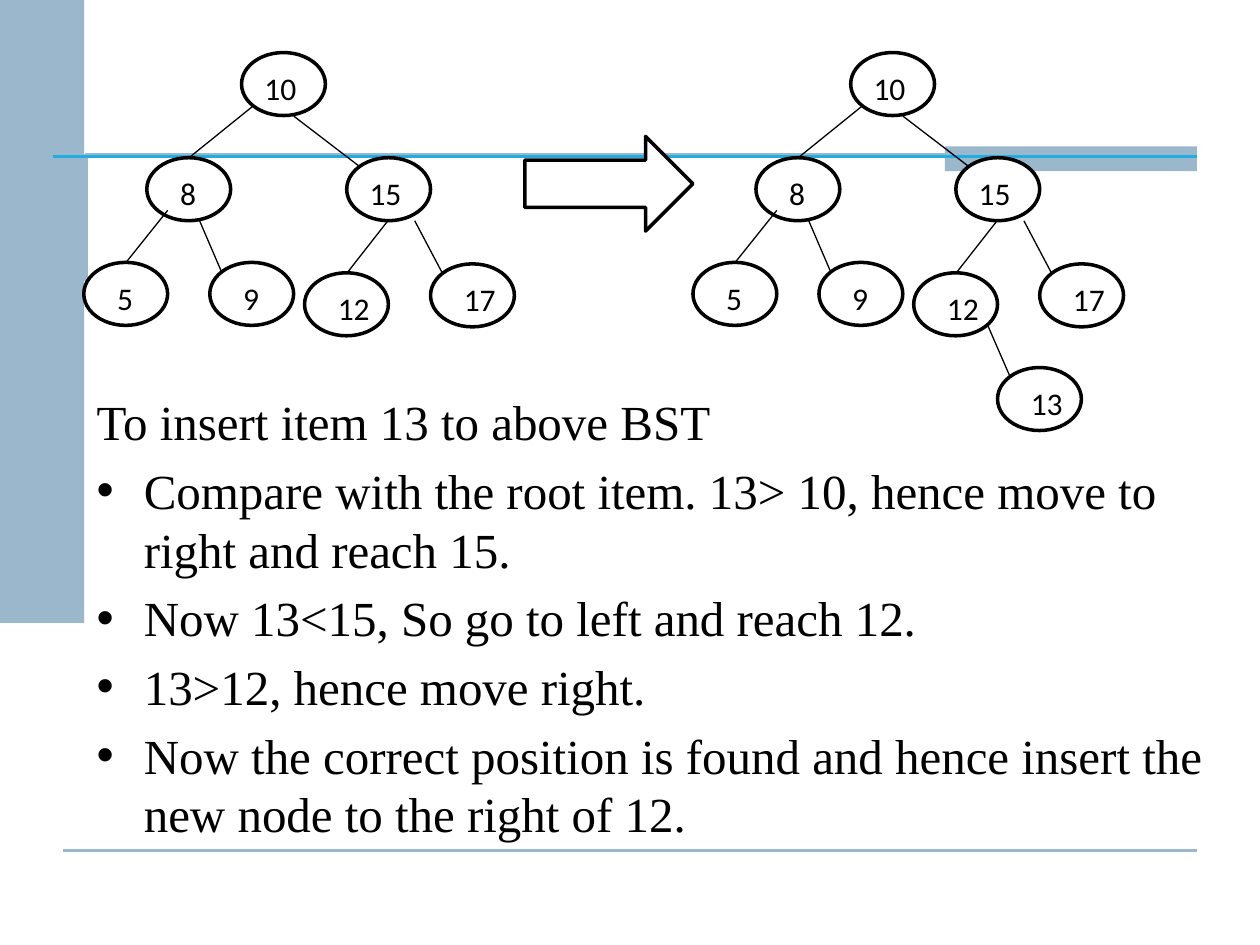
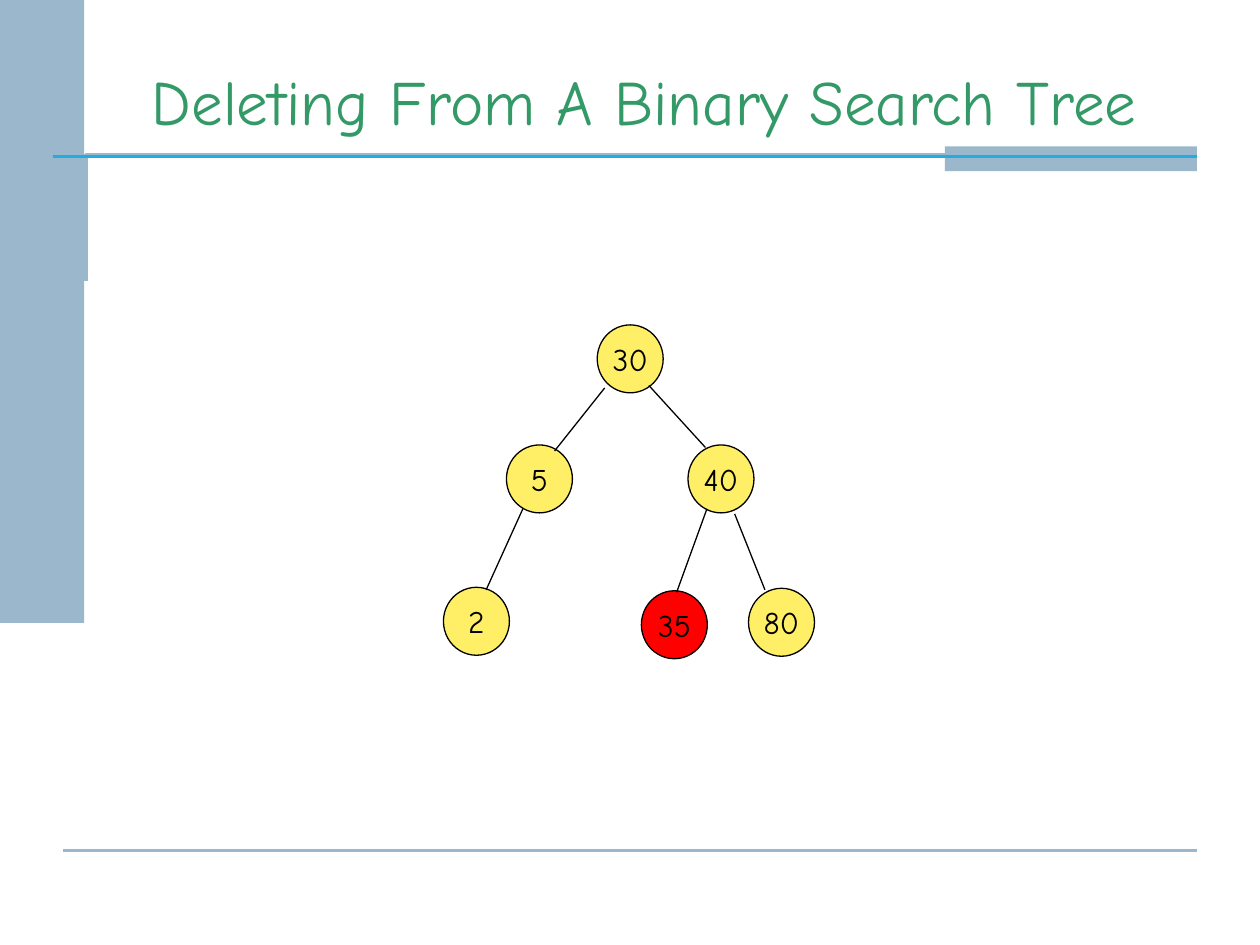
from lxml import etree
from pptx import Presentation
from pptx.dml.color import RGBColor
from pptx.enum.shapes import MSO_CONNECTOR, MSO_SHAPE
from pptx.enum.text import MSO_ANCHOR, MSO_AUTO_SIZE, PP_ALIGN
from pptx.oxml.ns import qn
from pptx.util import Cm, Pt

STRAIGHT = MSO_CONNECTOR.STRAIGHT
RECTANGLE, OVAL, RIGHT_ARROW = MSO_SHAPE.RECTANGLE, MSO_SHAPE.OVAL, MSO_SHAPE.RIGHT_ARROW
TOP, MIDDLE, BOTTOM = MSO_ANCHOR.TOP, MSO_ANCHOR.MIDDLE, MSO_ANCHOR.BOTTOM
LEFT, CENTER = PP_ALIGN.LEFT, PP_ALIGN.CENTER
NO_FIT = MSO_AUTO_SIZE.NONE

BLACK, WHITE = "000000", "FFFFFF"
BAND, RULE, TITLE_GREEN = "9AB7CC", "20AEE0", "339966"
YELLOW, RED = "FFEF66", "FF0000"
SERIF, SANS, COMIC = "Times New Roman", "Calibri", "Comic Neue"

BANDS = [(0, 0, 1.7, 12.56), (19.05, 2.95, 5.08, 0.5)]
RULES = [((1.27, 17.15), (24.13, 17.15), BAND), ((1.06, 3.15), (24.13, 3.15), RULE)]
CORNER = [(1.73, 5.66), (1.73, 3.12), (23.75, 3.12)]

INSERT_HEADING = "To insert item 13 to above BST"
INSERT_STEPS = [
    "Compare with the root item. 13> 10, hence move to right and reach 15.",
    "Now 13<15, So go to left and reach 12.",
    "13>12, hence move right.",
    "Now the correct position is found and hence insert the new node to the right of 12.",
]
INSERT_NODE_SIZE = (1.69, 1.27)
INSERT_NODES = [
    ("10", 4.87, 1.06, 0.21), ("8", 2.96, 3.18, 0.42), ("15", 6.99, 3.18, 0.21),
    ("5", 1.69, 5.29, 0.42), ("9", 4.23, 5.29, 0.42),
    ("12", 6.14, 5.5, 0.42), ("17", 8.68, 5.32, 0.42),
]
INSERT_EDGES = [
    ((5.11, 2.13), (3.81, 3.18)), ((5.92, 2.34), (7.24, 3.35)),
    ((3.38, 4.24), (2.54, 5.29)), ((4.01, 4.42), (4.47, 5.49)),
    ((7.82, 4.45), (6.99, 5.51)), ((8.36, 4.45), (8.92, 5.51)),
]
NEW_NODE = ("13", 7.83, 7.41, 0.42)
NEW_EDGE = ((7.62, 6.53), (8.08, 7.59))
AFTER_SHIFT = 12.28

DELETE_TITLE = "Deleting From A Binary Search Tree"
DELETE_NODE_SIZE = (1.33, 1.37)
DELETE_NODES = [
    ("30", 12.04, 6.55, YELLOW), ("5", 10.21, 8.97, YELLOW), ("40", 13.87, 8.97, YELLOW),
    ("2", 8.94, 11.84, YELLOW), ("80", 15.09, 11.86, YELLOW), ("35", 12.93, 11.91, RED),
]
DELETE_EDGES = [
    ((12.19, 7.82), (11.18, 9.09)), ((13.08, 7.77), (14.22, 9.02)),
    ((10.54, 10.26), (9.8, 11.89)), ((14.25, 10.26), (13.64, 11.94)),
    ((14.81, 10.36), (15.42, 11.89)),
]


def rgb(color):
    return RGBColor.from_string(color)


def lengths(*values):
    return [Cm(value) for value in values]


def write(frame, text, font=SANS, size=18, color=BLACK, align=LEFT, anchor=TOP,
          wrap=True, new=False):
    frame.word_wrap = wrap
    frame.auto_size = NO_FIT
    frame.vertical_anchor = anchor
    paragraph = frame.add_paragraph() if new else frame.paragraphs[0]
    paragraph.alignment = align
    run = paragraph.add_run()
    run.text = text
    run.font.name = font
    run.font.size = Pt(size)
    run.font.color.rgb = rgb(color)
    return paragraph


def add_preset(slide, preset, box, fill, line=None, weight=2):
    preset_shape = slide.shapes.add_shape(preset, *lengths(*box))
    preset_shape.shadow.inherit = False
    preset_shape.fill.solid()
    preset_shape.fill.fore_color.rgb = rgb(fill)
    if line:
        preset_shape.line.color.rgb = rgb(line)
        preset_shape.line.width = Pt(weight)
    else:
        preset_shape.line.fill.background()
    return preset_shape


def add_line(slide, start, end, color=BLACK, weight=0.75):
    line = slide.shapes.add_connector(STRAIGHT, *lengths(*start, *end))
    line.line.color.rgb = rgb(color)
    line.line.width = Pt(weight)
    etree.SubElement(line._element.spPr, qn("a:effectLst"))


def add_frame(slide):
    start, *rest = [lengths(*point) for point in CORNER]
    builder = slide.shapes.build_freeform(*start)
    builder.add_line_segments(rest, close=False)
    corner = builder.convert_to_shape()
    corner.shadow.inherit = False
    corner.fill.background()
    corner.line.color.rgb = rgb(BAND)
    corner.line.width = Pt(2)
    for box in BANDS:
        add_preset(slide, RECTANGLE, box, BAND)
    for start, end, color in RULES:
        add_line(slide, start, end, color, 1.5)


def add_bullet(paragraph):
    properties = paragraph._p.get_or_add_pPr()
    properties.set("marL", str(Cm(0.95)))
    properties.set("indent", str(-Cm(0.95)))
    bullet_font = etree.SubElement(properties, qn("a:buFont"))
    bullet_font.set("typeface", "Arial")
    etree.SubElement(properties, qn("a:buChar")).set("char", "•")


def add_insert_tree(slide, nodes, edges, shift=0):
    for key, x, y, inset in nodes:
        add_preset(slide, OVAL, (x + shift, y, *INSERT_NODE_SIZE), WHITE, BLACK)
        label = slide.shapes.add_textbox(*lengths(x + shift + inset, y + 0.21, 1.4, 1.02))
        write(label.text_frame, key)
    for (x1, y1), (x2, y2) in edges:
        add_line(slide, (x1 + shift, y1), (x2 + shift, y2))


def build_insert_slide(prs):
    slide = prs.slides.add_slide(prs.slide_layouts[6])
    add_frame(slide)
    steps = slide.shapes.add_textbox(*lengths(1.7, 7.77, 23.09, 8.99)).text_frame
    write(steps, INSERT_HEADING, font=SERIF, size=28)
    for step in INSERT_STEPS:
        paragraph = write(steps, step, font=SERIF, size=28, new=True)
        paragraph.space_before = Pt(5.6)
        add_bullet(paragraph)
    add_insert_tree(slide, INSERT_NODES, INSERT_EDGES)
    add_insert_tree(slide, INSERT_NODES + [NEW_NODE], INSERT_EDGES + [NEW_EDGE], AFTER_SHIFT)
    add_preset(slide, RIGHT_ARROW, (10.58, 2.75, 3.39, 1.91), WHITE, BLACK)


def build_delete_slide(prs):
    slide = prs.slides.add_slide(prs.slide_layouts[5])
    add_frame(slide)
    title = slide.shapes.title
    title.left, title.top, title.width, title.height = lengths(1.9, 0.95, 22.17, 1.96)
    write(title.text_frame, DELETE_TITLE, font=COMIC, size=36, color=TITLE_GREEN,
          align=CENTER, anchor=BOTTOM)
    for key, x, y, fill in DELETE_NODES:
        node = add_preset(slide, OVAL, (x, y, *DELETE_NODE_SIZE), fill, BLACK, 0.75)
        write(node.text_frame, key, font=COMIC, align=CENTER, anchor=MIDDLE, wrap=False)
    for start, end in DELETE_EDGES:
        add_line(slide, start, end)


def main():
    prs = Presentation()
    prs.slide_width, prs.slide_height = lengths(25.4, 19.05)
    build_insert_slide(prs)
    build_delete_slide(prs)
    prs.save("out.pptx")


if __name__ == "__main__":
    main()
